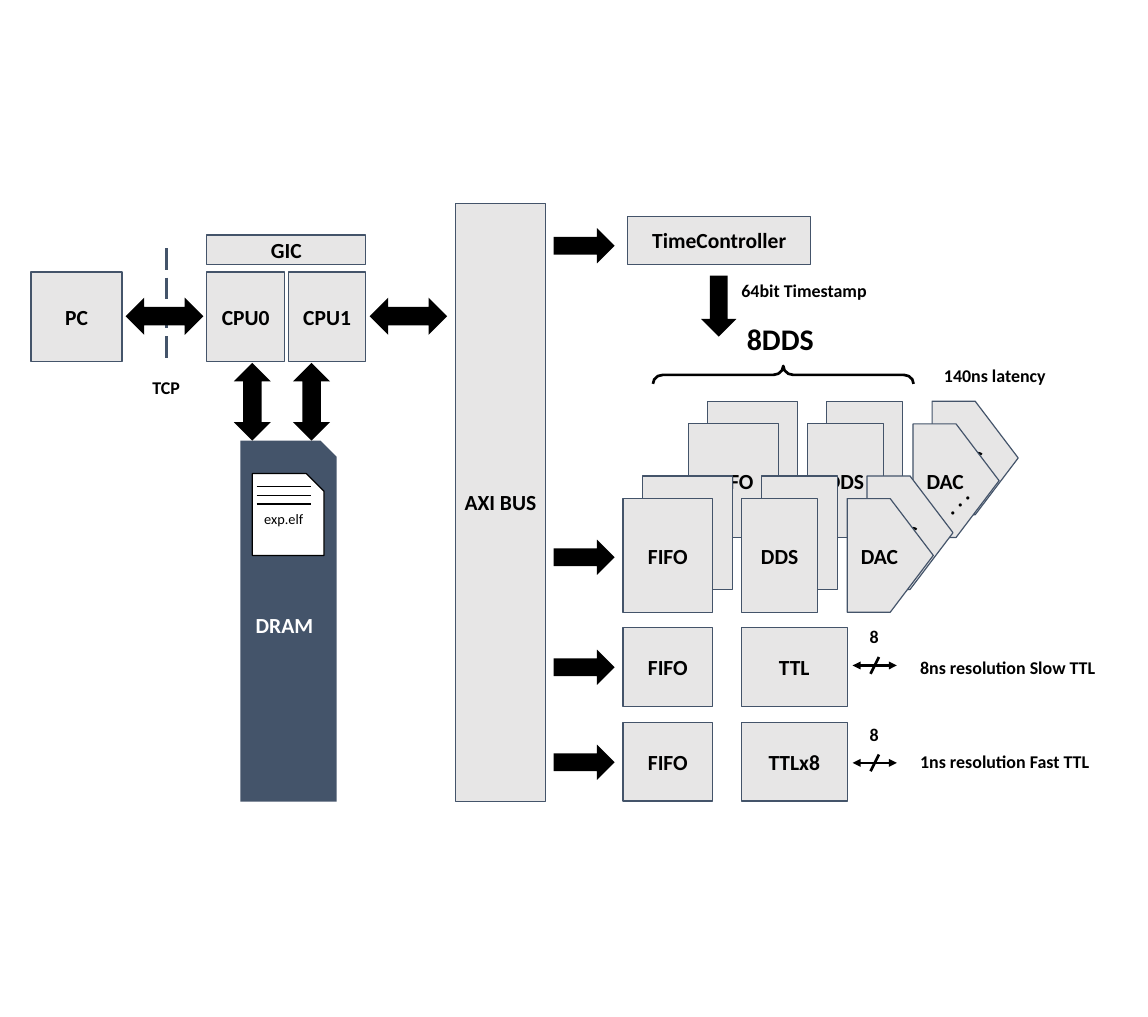
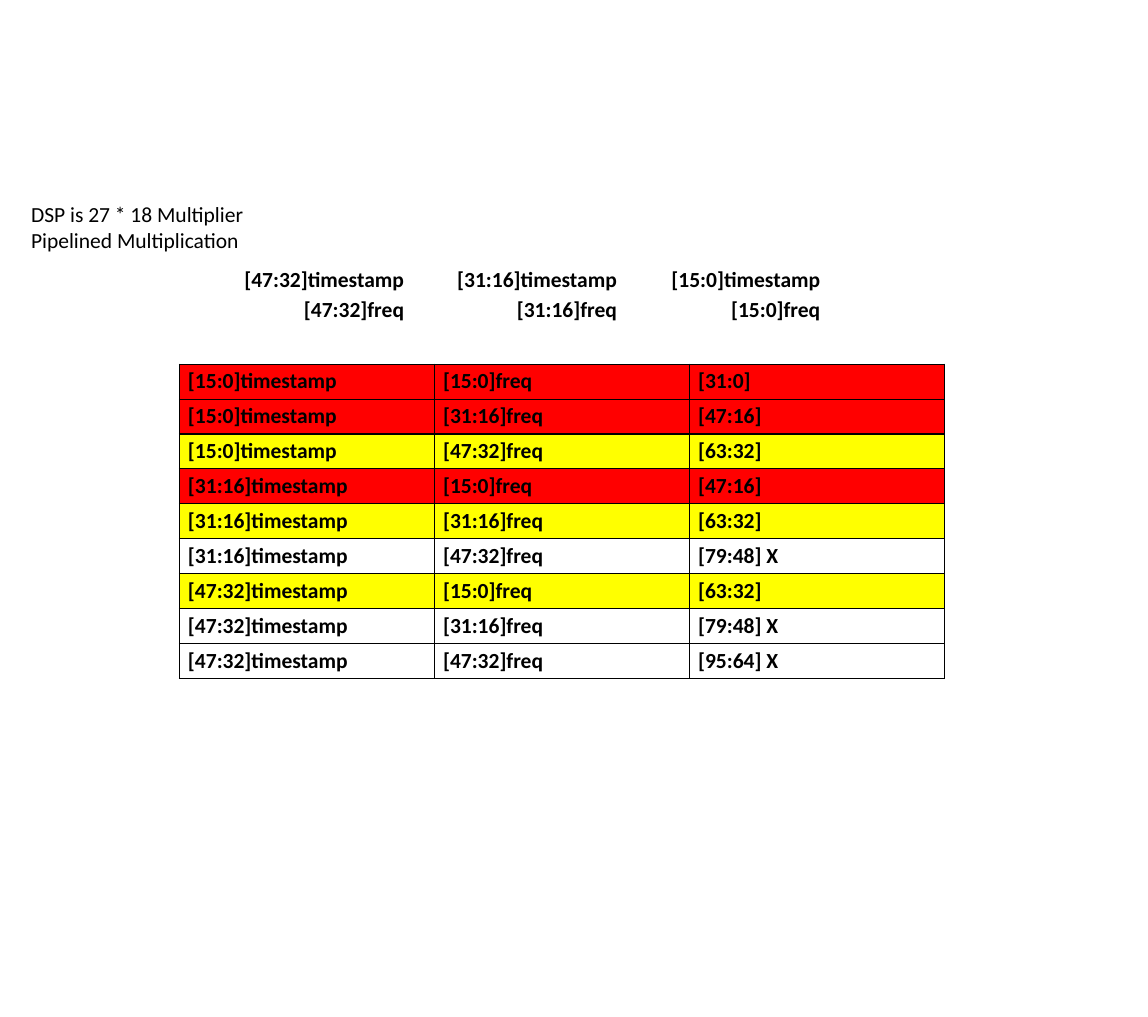
from dataclasses import dataclass
from itertools import product

from lxml.etree import SubElement
from pptx import Presentation
from pptx.dml.color import RGBColor
from pptx.enum.dml import MSO_LINE
from pptx.enum.shapes import MSO_CONNECTOR, MSO_SHAPE as Preset
from pptx.enum.text import MSO_ANCHOR as Anchor, PP_ALIGN as Align
from pptx.oxml.ns import qn
from pptx.util import Pt


@dataclass(frozen=True)
class Theme:
    font: str = "Calibri"
    black: str = "000000"
    white: str = "FFFFFF"
    navy: str = "44546A"
    grey: str = "E7E6E6"
    red: str = "FF0000"
    yellow: str = "FFFF00"
    heading: int = 25
    body: int = 18
    note: int = 15
    small: int = 12
    thin: float = 1
    rule: float = 1.25
    thick: float = 2.25


THEME = Theme()
SLIDE_SIZE = (960, 850.5)

# Slide 1: text, left, top, width, height
BLOCKS = [
    ("PC", 26, 227.5, 76, 75),
    ("CPU0", 173, 227.5, 65, 75),
    ("CPU1", 241, 227.5, 65, 75),
    ("GIC", 173, 196.5, 133, 24.5),
    ("AXI BUS", 381, 170, 75, 500),
    ("TimeController", 525, 181, 153, 40),
]
# Stacked columns: text, left, width, preset
CHANNEL = [
    ("FIFO", 521, 75, Preset.RECTANGLE),
    ("DDS", 620, 64, Preset.RECTANGLE),
    ("DAC", 708.5, 72, Preset.PENTAGON),
]
CHANNEL_TOP, CHANNEL_HEIGHT = 417, 95
LAYERS = [(71, -81.5), (55, -62.5), (16.5, -19), (0, 0)]
# TTL rows: text, top, middle of the lane line, note
TTL_ROWS = [
    ("TTL", 525, 556.5, "8ns resolution Slow TTL"),
    ("TTLx8", 604, 638, "1ns resolution Fast TTL"),
]
TTL_HEIGHT, LANES = 66, "8"
# Block arrows: preset, centre x, centre y, length, thickness, rotation
TWO_WAY, ONE_WAY = (65, 31), (51, 29.5)
ARROWS = [
    (Preset.LEFT_RIGHT_ARROW, 341.5, 264.5, *TWO_WAY, 0),
    (Preset.LEFT_RIGHT_ARROW, 137.5, 264.5, *TWO_WAY, 0),
    (Preset.LEFT_RIGHT_ARROW, 211, 336, *TWO_WAY, 90),
    (Preset.LEFT_RIGHT_ARROW, 260.5, 336, *TWO_WAY, 90),
    (Preset.RIGHT_ARROW, 601, 256, *ONE_WAY, 90),
] + [(Preset.RIGHT_ARROW, 488.5, y, *ONE_WAY, 0) for y in (205.5, 466, 558, 637.5)]
# Labels: text, left, middle, width, size, alignment
LABELS = [
    ("8DDS", 576, 283.5, 153, THEME.heading, Align.CENTER),
    ("64bit Timestamp", 620, 242.5, 140, THEME.note, Align.LEFT),
    ("140ns latency", 764, 314, 136, THEME.note, Align.CENTER),
    ("TCP", 116.5, 324, 45, THEME.note, Align.CENTER),
]

# Slide 2
INTRO = ["DSP is 27 * 18 Multiplier", "Pipelined Multiplication"]
WORD_BITS, WORDS = 16, 3
OPERANDS = [("timestamp", 222), ("freq", 247)]
OPERAND_RIGHTS = [686, 516, 338]
RESULT_FILLS = [THEME.red, THEME.red, THEME.yellow]
TABLE_LEFT, TABLE_TOP, COLUMN_WIDTH, ROW_HEIGHT = 150, 304.5, 213.3, 29.25


def rgb(color):
    return RGBColor.from_string(color)


def points(*lengths):
    return [Pt(length) for length in lengths]


def write(text_frame, text, size=THEME.body, color=THEME.black, bold=True,
          align=Align.CENTER):
    text_frame.text = text
    for paragraph in text_frame.paragraphs:
        paragraph.alignment = align
        for run in paragraph.runs:
            run.font.name = THEME.font
            run.font.size = Pt(size)
            run.font.bold = bold
            run.font.color.rgb = rgb(color)


def fit_frame(text_frame, anchor):
    text_frame.word_wrap = True
    text_frame.vertical_anchor = anchor
    text_frame.margin_left = text_frame.margin_right = 0
    text_frame.margin_top = text_frame.margin_bottom = 0


def add_block(shapes, preset, box, text="", fill=THEME.grey, line=THEME.navy,
              width=THEME.thin, **style):
    shape = shapes.add_shape(preset, *points(*box))
    shape.shadow.inherit = False
    if fill:
        shape.fill.solid()
        shape.fill.fore_color.rgb = rgb(fill)
    else:
        shape.fill.background()
    if line:
        shape.line.color.rgb = rgb(line)
        shape.line.width = Pt(width)
    else:
        shape.line.fill.background()
    if text:
        fit_frame(shape.text_frame, Anchor.MIDDLE)
        write(shape.text_frame, text, **style)
    return shape


def add_label(shapes, text, left, middle, width, size, align, height=24):
    label = shapes.add_textbox(*points(left, middle - height / 2, width, height))
    fit_frame(label.text_frame, Anchor.MIDDLE)
    write(label.text_frame, text, size, align=align)
    return label


def add_line(shapes, start, end, color=THEME.black, width=THEME.thick,
             dash=None, arrows=False):
    line = shapes.add_connector(MSO_CONNECTOR.STRAIGHT, *points(*start, *end))
    line.line.color.rgb = rgb(color)
    line.line.width = Pt(width)
    if dash:
        line.line.dash_style = dash
    if arrows:
        outline = line.line._get_or_add_ln()
        for tag in ("a:headEnd", "a:tailEnd"):
            SubElement(outline, qn(tag), type="triangle")
    SubElement(line._element.spPr, qn("a:effectLst"))


def add_channels(shapes):
    for text, left, width, preset in CHANNEL:
        for layer, (dx, dy) in enumerate(LAYERS):
            hidden = text == "FIFO" and layer % 2 == 0
            box = (left + dx, CHANNEL_TOP + dy, width, CHANNEL_HEIGHT)
            add_block(shapes, preset, box, "" if hidden else text)
    dots = add_label(shapes, ". . .", 778, 418.5, 42, THEME.body, Align.CENTER)
    dots.rotation = 315

    brace = add_block(shapes, Preset.RIGHT_BRACE, (647.5, 204.5, 15, 218),
                      fill=None, line=THEME.black, width=THEME.thick)
    brace.adjustments[0], brace.adjustments[1] = 0.549, 0.5
    brace.rotation = 270


def add_ttl_rows(shapes):
    for text, top, line_y, note in TTL_ROWS:
        add_block(shapes, Preset.RECTANGLE, (521, top, 75, TTL_HEIGHT), "FIFO")
        add_block(shapes, Preset.RECTANGLE, (620, top, 88.5, TTL_HEIGHT), text)
        add_line(shapes, (713, line_y), (750, line_y), arrows=True)
        add_line(shapes, (728, line_y + 7), (735, line_y - 7))
        add_label(shapes, LANES, 723, line_y - 24, 16, THEME.note, Align.CENTER)
        add_label(shapes, note, 769.5, top + TTL_HEIGHT / 2, 185, THEME.note,
                  Align.LEFT)


def add_memory(shapes):
    add_block(shapes, Preset.SNIP_1_RECTANGLE, (201, 368.5, 80.5, 302), "DRAM",
              fill=THEME.navy, line=None, color=THEME.white)
    document = shapes.add_group_shape().shapes
    page = add_block(document, Preset.SNIP_1_RECTANGLE, (211, 396, 60, 68.5),
                     "exp.elf", fill=THEME.white, line=THEME.black,
                     size=THEME.small, bold=False)
    page.adjustments[0] = 0.248
    for y in (407, 414.5, 421.5):
        add_line(document, (214.5, y), (260, y), width=THEME.rule)


def build_architecture(shapes):
    add_channels(shapes)
    for text, *box in BLOCKS:
        add_block(shapes, Preset.RECTANGLE, box, text)
    add_ttl_rows(shapes)
    add_memory(shapes)
    add_line(shapes, (139, 207.5), (139, 302.5), THEME.navy,
             dash=MSO_LINE.LONG_DASH)
    for preset, x, y, length, thickness, rotation in ARROWS:
        box = (x - length / 2, y - thickness / 2, length, thickness)
        arrow = add_block(shapes, preset, box, fill=THEME.black, line=None)
        arrow.rotation = rotation
    for label in LABELS:
        add_label(shapes, *label)


def bits(low, count):
    return f"[{low + count - 1}:{low}]"


def add_borders(cell):
    properties = cell._tc.get_or_add_tcPr()
    for side in ("a:lnL", "a:lnR", "a:lnT", "a:lnB"):
        border = SubElement(properties, qn(side), w=str(Pt(THEME.thin)))
        fill = SubElement(border, qn("a:solidFill"))
        SubElement(fill, qn("a:srgbClr"), val=THEME.black)


def add_product_table(shapes):
    """List every partial product, coloured by the weight of its result."""
    pairs = list(product(range(WORDS), repeat=2))
    frame = shapes.add_table(len(pairs), 3, *points(
        TABLE_LEFT, TABLE_TOP, 3 * COLUMN_WIDTH, len(pairs) * ROW_HEIGHT))
    table = frame.table
    table.first_row = table.horz_banding = False
    for column in table.columns:
        column.width = Pt(COLUMN_WIDTH)
    for row, pair in enumerate(pairs):
        table.rows[row].height = Pt(ROW_HEIGHT)
        weight = sum(pair)
        kept = weight < len(RESULT_FILLS)
        texts = [bits(word * WORD_BITS, WORD_BITS) + name
                 for word, (name, _) in zip(pair, OPERANDS)]
        result = bits(weight * WORD_BITS, 2 * WORD_BITS)
        texts.append(result if kept else result + " X")
        for column, text in enumerate(texts):
            cell = table.cell(row, column)
            add_borders(cell)
            cell.fill.solid()
            cell.fill.fore_color.rgb = rgb(
                RESULT_FILLS[weight] if kept else THEME.white)
            write(cell.text_frame, text, align=Align.LEFT)


def build_multiplication(shapes):
    intro = shapes.add_textbox(*points(26, 168.5, 274, 45))
    fit_frame(intro.text_frame, Anchor.TOP)
    write(intro.text_frame, "\n".join(INTRO), bold=False, align=Align.LEFT)
    for name, top in OPERANDS:
        for word, right in enumerate(OPERAND_RIGHTS):
            add_label(shapes, bits(word * WORD_BITS, WORD_BITS) + name,
                      right - 160, top + 11, 160, THEME.body, Align.RIGHT)
    add_product_table(shapes)


def main():
    presentation = Presentation()
    presentation.slide_width, presentation.slide_height = points(*SLIDE_SIZE)
    blank = presentation.slide_layouts[6]
    for build in (build_architecture, build_multiplication):
        build(presentation.slides.add_slide(blank).shapes)
    presentation.save("out.pptx")


if __name__ == "__main__":
    main()
